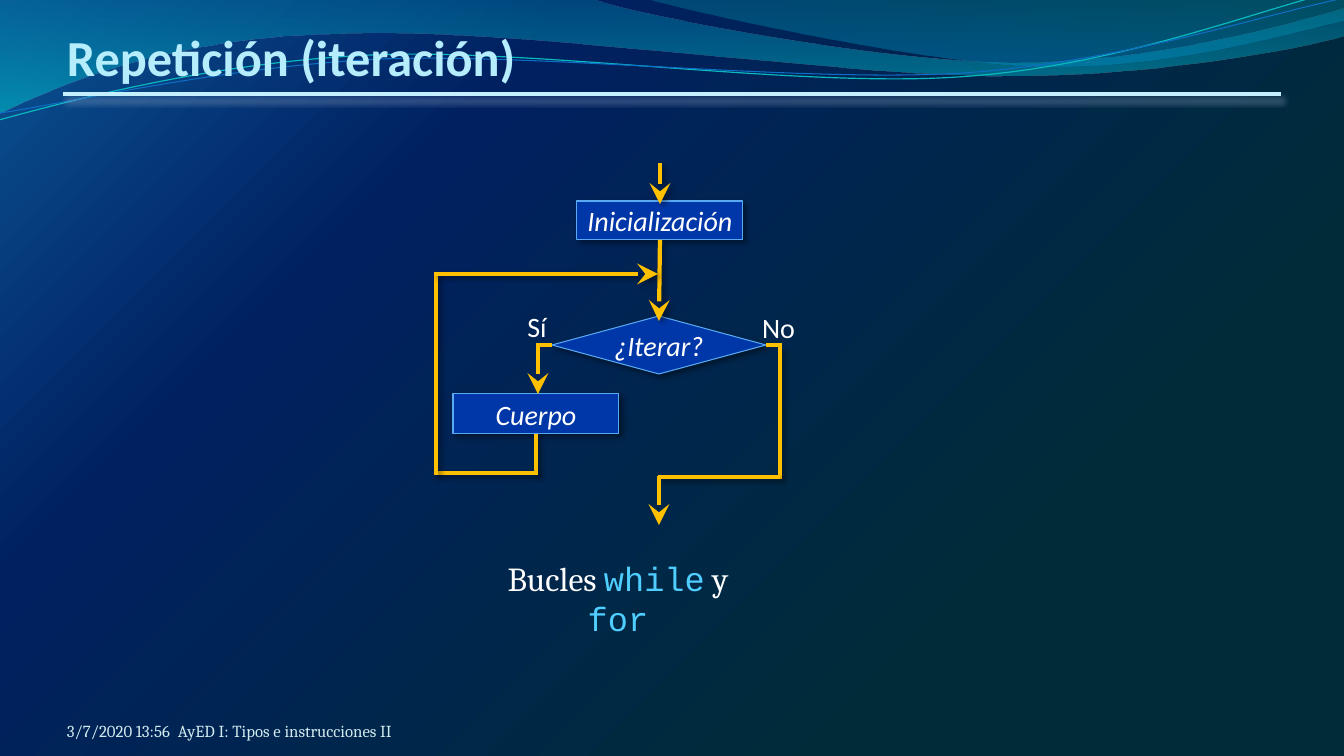
import pptx
import pptx.dml.color
import pptx.enum.shapes
import pptx.enum.text
import pptx.oxml
import pptx.oxml.ns
import pptx.util

SHAPE = pptx.enum.shapes.MSO_SHAPE
ALIGN = pptx.enum.text.PP_ALIGN
ANCHOR = pptx.enum.text.MSO_ANCHOR
RGB = pptx.dml.color.RGBColor.from_string
PX = 914400 / 100.8

THEME = {
    "title": ("Calibri", 36, "B5EDFD"),
    "label": ("Calibri", 20, "FFFFFF"),
    "body": ("Cambria", 24, "FFFFFF"),
    "code": ("Courier New", 24, "4FCEFF"),
    "footer": ("Cambria", 12, "D1EAEE"),
    "box": "0037A8",
    "box_line": "59AAF2",
    "flow": "FFC000",
    "rule": "C4EFFF",
    # gradient stops: position, colour, opacity in percent
    "background": [(0, "0B5394", 100), (28, "002060", 100), (76, "002C38", 100)],
    "wide_wave": [(0, "0074A1", 45), (100, "00C6CF", 55)],
    "right_wave": [(0, "00A1A9", 30), (80, "008BBF", 45)],
    "teal_strand": "0AB8BF",
    "blue_strand": "0F6FC6",
    # shadows: colour, opacity in percent, blur and distance in points, angle
    "drop": ("000000", 40, 4, 3, 45),
    "rule_shadow": ("A0B4D0", 48, 4.5, 4, 70),
}


def px(*lengths):
    return [pptx.util.Emu(round(n * PX)) for n in lengths]


def dml(tag, body=""):
    """Make a DrawingML element from its tag and inner markup."""
    return pptx.oxml.parse_xml(f'<a:{tag} {pptx.oxml.ns.nsdecls("a")}>{body}</a:{tag}>')


prs = pptx.Presentation()
prs.slide_width, prs.slide_height = px(1344, 756)
s = prs.slides.add_slide(prs.slide_layouts[6])
s.background.fill.background()
corner = '<a:path path="circle"><a:fillToRect r="100000" b="100000"/></a:path>'
downward = '<a:lin ang="5400000" scaled="0"/>'
gradients = [(s, THEME["background"], corner)]
shadows = []

# Waves: start, then segments of one point (straight) or three (cubic curve)
waves = [
    ("wide_wave", None, (0, -1), [
        [(592, -1)],
        [(639, 17), (892, 63), (1019, 63)],
        [(1147, 63), (1288, 26), (1344, 9)],
        [(1346, 36)],
        [(1321, 44), (1169, 77), (1002, 76)],
        [(836, 76), (513, 28), (346, 34)],
        [(173, 36), (61, 84), (-1, 114)]]),
    ("right_wave", None, (644, -1), [
        [(684, 11), (916, 62), (1033, 66)],
        [(1170, 70), (1292, 32), (1344, 21)],
        [(1344, 0)]]),
    ("teal_strand", 0.85, (-1, 120), [
        [(65, 102), (213, 62), (372, 55)],
        [(531, 48), (796, 88), (958, 77)],
        [(1119, 67), (1262, 8), (1342, -10)]]),
    ("blue_strand", 0.75, (0, 113), [
        [(64, 104), (220, 67), (381, 59)],
        [(541, 53), (802, 83), (963, 73)],
        [(1124, 62), (1265, 14), (1345, -2)]]),
]
for look, width, start, segments in waves:
    builder = s.shapes.build_freeform(*start, scale=PX)
    builder.add_line_segments(sum(segments, []), close=width is None)
    sp = builder.convert_to_shape()
    # Turn each run of three control points into one cubic curve
    steps = sp.element.iter(pptx.oxml.ns.qn("a:lnTo"))
    steps = iter(list(steps))
    for segment in segments:
        controls = [next(steps) for _ in segment]
        if len(controls) == 3:
            curve = dml("cubicBezTo")
            controls[0].addprevious(curve)
            for control in controls:
                curve.append(control[0])
                control.getparent().remove(control)
    sp.fill.background()
    if width is None:
        sp.line.fill.background()
        gradients.append((sp, THEME[look], downward))
    else:
        sp.line.color.rgb = RGB(THEME[look])
        sp.line.width = pptx.util.Pt(width)
    shadows.append((sp, None))

for holder, stops, shade in gradients:
    stop_list = "".join(
        f'<a:gs pos="{pos * 1000}"><a:srgbClr val="{color}">'
        f'<a:alpha val="{alpha * 1000}"/></a:srgbClr></a:gs>' for pos, color, alpha in stops)
    blank = next(holder.element.iter(pptx.oxml.ns.qn("a:noFill")))
    blank.getparent().replace(blank, dml("gradFill", f"<a:gsLst>{stop_list}</a:gsLst>{shade}"))

# Flowchart boxes
boxes = {}
for name, preset, place in [
    ("Inicialización", SHAPE.RECTANGLE, (577, 201, 166, 39)),
    ("¿Iterar?", SHAPE.FLOWCHART_DECISION, (552, 316, 214, 58)),
    ("Cuerpo", SHAPE.RECTANGLE, (453, 394, 166, 40)),
]:
    sp = boxes[name] = s.shapes.add_shape(preset, *px(*place))
    sp.fill.solid()
    sp.fill.fore_color.rgb = RGB(THEME["box"])
    sp.line.color.rgb = RGB(THEME["box_line"])
    sp.line.width = pptx.util.Pt(0.75)
    shadows.append((sp, THEME["drop"]))

# Lines: an end is a point, or a box name with its connection site
TOP, LEFT, BOTTOM, RIGHT = range(4)
flow, drop = (THEME["flow"], 3), THEME["drop"]
lines = [
    ((63, 94), (1281, 94), (THEME["rule"], 2.25), False, THEME["rule_shadow"]),
    ((660, 163), (660, 204), flow, True, drop),
    (("Inicialización", BOTTOM), (659, 321), flow, True, drop),
    (("¿Iterar?", LEFT), (536, 345), flow, False, None),
    ((538, 345), (538, 394), flow, True, None),
    (("Cuerpo", BOTTOM), (536, 475), flow, False, drop),
    ((538, 473), (434, 473), flow, False, drop),
    ((436, 274), (436, 475), flow, False, drop),
    ((434, 274), (658, 274), flow, True, drop),
    (("¿Iterar?", RIGHT), (782, 345), flow, False, None),
    ((780, 347), (780, 479), flow, False, drop),
    ((780, 477), (658, 477), flow, False, drop),
    ((659, 476), (659, 525), flow, True, None),
]
for begin, end, (color, width), arrow, shadow in lines:
    joined = begin[0] in boxes
    cxn = s.shapes.add_connector(pptx.enum.shapes.MSO_CONNECTOR.STRAIGHT,
                                 *px(*(end if joined else begin), *end))
    if joined:
        cxn.begin_connect(boxes[begin[0]], begin[1])
    cxn.line.color.rgb = RGB(color)
    cxn.line.width = pptx.util.Pt(width)
    if arrow:
        tail = dml("tailEnd")
        for key, value in (("type", "stealth"), ("w", "lg"), ("len", "lg")):
            tail.set(key, value)
        cxn.element.spPr.find(pptx.oxml.ns.qn("a:ln")).append(tail)
    shadows.append((cxn, shadow))

for sp, shadow in shadows:
    body = ""
    if shadow:
        color, alpha, blur, dist, angle = shadow
        body = (f'<a:outerShdw blurRad="{round(blur * 12700)}" dist="{dist * 12700}" '
                f'dir="{angle * 60000}" algn="ctr" rotWithShape="0"><a:srgbClr val="{color}">'
                f'<a:alpha val="{alpha * 1000}"/></a:srgbClr></a:outerShdw>')
    sp.element.spPr.append(dml("effectLst", body))

# Text: frame, wrap, anchor, alignment, insets (left, top, right, bottom), runs
texts = [(boxes[name], False, ANCHOR.MIDDLE, ALIGN.CENTER, (8, 4, 8, 4), [(name, "label")])
         for name in boxes]
for place, *layout in [
    ((67, 32, 1210, 55), True, ANCHOR.BOTTOM, ALIGN.LEFT, (0, 5, 0, 0),
     [("Repetición (iteración)", "title")]),
    ((517, 304, 40, 44), False, ANCHOR.TOP, ALIGN.CENTER, (10, 5, 10, 5), [("Sí", "label")]),
    ((752, 305, 53, 44), False, ANCHOR.TOP, ALIGN.CENTER, (10, 5, 10, 5), [("No", "label")]),
    ((466, 553, 304, 92), True, ANCHOR.TOP, ALIGN.CENTER, (10, 5, 10, 5),
     [("Bucles ", "body"), ("while", "code"), (" y ", "body"), ("for", "code")]),
    ((178, 701, 820, 40), True, ANCHOR.BOTTOM, ALIGN.LEFT, (0, 0, 0, 0),
     [("AyED I: Tipos e instrucciones II", "footer")]),
    ((67, 701, 313, 40), True, ANCHOR.BOTTOM, ALIGN.LEFT, (0, 0, 0, 0),
     [("3/7/2020 13:56", "footer")]),
]:
    texts.append((s.shapes.add_textbox(*px(*place)), *layout))

for sp, wrap, anchor, align, insets, runs in texts:
    tf = sp.text_frame
    tf.word_wrap = wrap
    tf.vertical_anchor = anchor
    tf.margin_left, tf.margin_top, tf.margin_right, tf.margin_bottom = px(*insets)
    p = tf.paragraphs[0]
    p.alignment = align
    for text, style in runs:
        r = p.add_run()
        r.text = text
        r.font.name, size, color = THEME[style]
        r.font.size = pptx.util.Pt(size)
        r.font.color.rgb = RGB(color)
        r.font.bold = style == "title"
        r.font.italic = text in boxes

prs.save("out.pptx")
